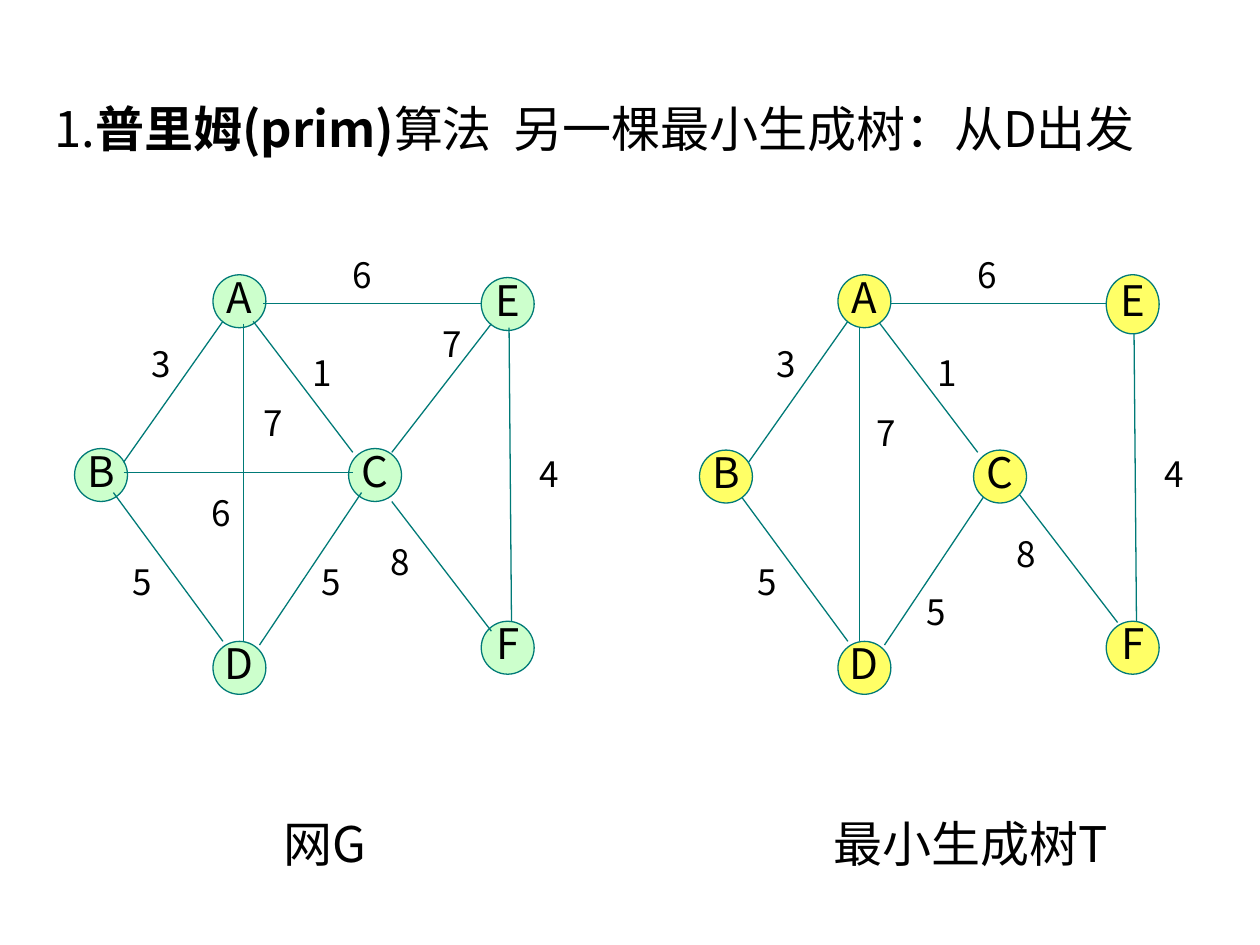
"""Build a slide comparing a weighted network with its minimum spanning tree."""

from lxml import etree
from pptx import Presentation
from pptx.dml.color import RGBColor
from pptx.enum.shapes import MSO_CONNECTOR, MSO_SHAPE
from pptx.enum.text import MSO_ANCHOR, MSO_AUTO_SIZE, PP_ALIGN
from pptx.oxml.ns import qn
from pptx.util import Pt

LEFT, CENTER = PP_ALIGN.LEFT, PP_ALIGN.CENTER
TOP, MIDDLE = MSO_ANCHOR.TOP, MSO_ANCHOR.MIDDLE
NO_FIT, GROW = MSO_AUTO_SIZE.NONE, MSO_AUTO_SIZE.SHAPE_TO_FIT_TEXT
OVAL, STRAIGHT = MSO_SHAPE.OVAL, MSO_CONNECTOR.STRAIGHT
BLACK = RGBColor(0x00, 0x00, 0x00)
TEAL = RGBColor(0x00, 0x7A, 0x77)
GREEN = RGBColor(0xCC, 0xFF, 0xCC)
YELLOW = RGBColor(0xFF, 0xFF, 0x66)
FONT = "Noto Sans CJK SC"
NODE_SIZE = 30.24
TREE_LEFT = 357.12


def write(box, text, size, bold=False, align=LEFT, anchor=TOP, spacing=1.0,
          inset=(7.2, 3.6), wrap=True, fit=GROW):
    frame = box.text_frame
    frame.word_wrap, frame.auto_size, frame.vertical_anchor = wrap, fit, anchor
    frame.margin_left = frame.margin_right = Pt(inset[0])
    frame.margin_top = frame.margin_bottom = Pt(inset[1])
    para = frame.paragraphs[0]
    para.alignment, para.line_spacing = align, spacing
    span = para.add_run()
    span.text = text
    span.font.name, span.font.size, span.font.bold = FONT, Pt(size), bold
    span.font.color.rgb = BLACK
    etree.SubElement(span._r.get_or_add_rPr(), qn("a:ea"), typeface=FONT)


def add_node(name, left, top, fill, height=NODE_SIZE):
    node = page.shapes.add_shape(OVAL, Pt(left), Pt(top), Pt(NODE_SIZE), Pt(height))
    node.shadow.inherit = False
    node.fill.solid()
    node.fill.fore_color.rgb = fill
    node.line.color.rgb = TEAL
    node.line.width = Pt(0.75)
    write(node, name, size=24, align=CENTER, anchor=MIDDLE, spacing=0.8,
          wrap=False, fit=NO_FIT)


deck = Presentation()
deck.slide_width, deck.slide_height = Pt(720), Pt(540)
page = deck.slides.add_slide(deck.slide_layouts[5])

title = page.shapes.title
title.left, title.top, title.width, title.height = Pt(24), Pt(52.5), Pt(672), Pt(41)
write(title, "1.", size=28)
write(title, "普里姆(prim)", size=28, bold=True)
write(title, "算法  另一棵最小生成树：从D出发", size=28)

node_lefts = {"A": 121.7, "B": 42.6, "C": 199.2, "D": 121.7, "E": 275, "F": 275}
net_tops = {"A": 157, "B": 256.3, "C": 256.3, "D": 366.5, "E": 158.6, "F": 355}
tree_tops = net_tops | {"B": 257.2, "C": 257.2, "E": 157}

shared_edges = [
    ((127.4, 183.6), (70.6, 264.2), "3", (86.4, 202.3)),
    ((64.8, 281.5), (127.4, 366.5), "5", (75.6, 326.9)),
    ((144.7, 183.6), (201.6, 258.5), "1", (178.6, 207.4)),
    ((290.9, 187.2), (292.3, 355), "4", (308.2, 265)),
    ((150.5, 173.5), (275, 173.5), "6", (201.6, 151.2)),
]
net_edges = shared_edges + [
    ((70.6, 270), (201.6, 270), "6", (121, 287.3)),
    ((139, 185), (139, 366.5), "7", (150.5, 236.2)),
    ((206.6, 281.5), (148.3, 368.6), "5", (183.6, 326.9)),
    ((280.8, 185), (223.9, 258.5), "7", (252.7, 190.8)),
    ((223.9, 286.6), (280.8, 360.7), "8", (223.2, 315.4)),
]
tree_edges = shared_edges + [
    ((133.9, 185), (133.9, 366.5), "7", (144, 241.9)),
    ((206.6, 281.5), (148.3, 368.6), "5", (172.1, 344.2)),
    ((224.6, 281.5), (281.5, 355.7), "8", (223.9, 311)),
]

for name, top in net_tops.items():
    add_node(name, node_lefts[name], top, GREEN)

for graph_left, edges in ((0, net_edges), (TREE_LEFT, tree_edges)):
    for start, end, weight, place in edges:
        edge = page.shapes.add_connector(
            STRAIGHT, Pt(graph_left + start[0]), Pt(start[1]),
            Pt(graph_left + end[0]), Pt(end[1]))
        edge.line.color.rgb = TEAL
        edge.line.width = Pt(0.75)
        etree.SubElement(edge._element.spPr, qn("a:effectLst"))
        label = page.shapes.add_textbox(
            Pt(graph_left + place[0]), Pt(place[1]), Pt(12.2), Pt(16.6))
        write(label, weight, size=20, spacing=0.7, inset=(0, 0))

for name, top in tree_tops.items():
    height = 33.8 if name == "E" else NODE_SIZE
    add_node(name, TREE_LEFT + node_lefts[name], top, YELLOW, height)

for text, left, width in (("网G", 154.8, 69.1), ("最小生成树T", 469.4, 176.4)):
    caption = page.shapes.add_textbox(Pt(left), Pt(461.5), Pt(width), Pt(41))
    write(caption, text, size=28)

deck.save("out.pptx")
